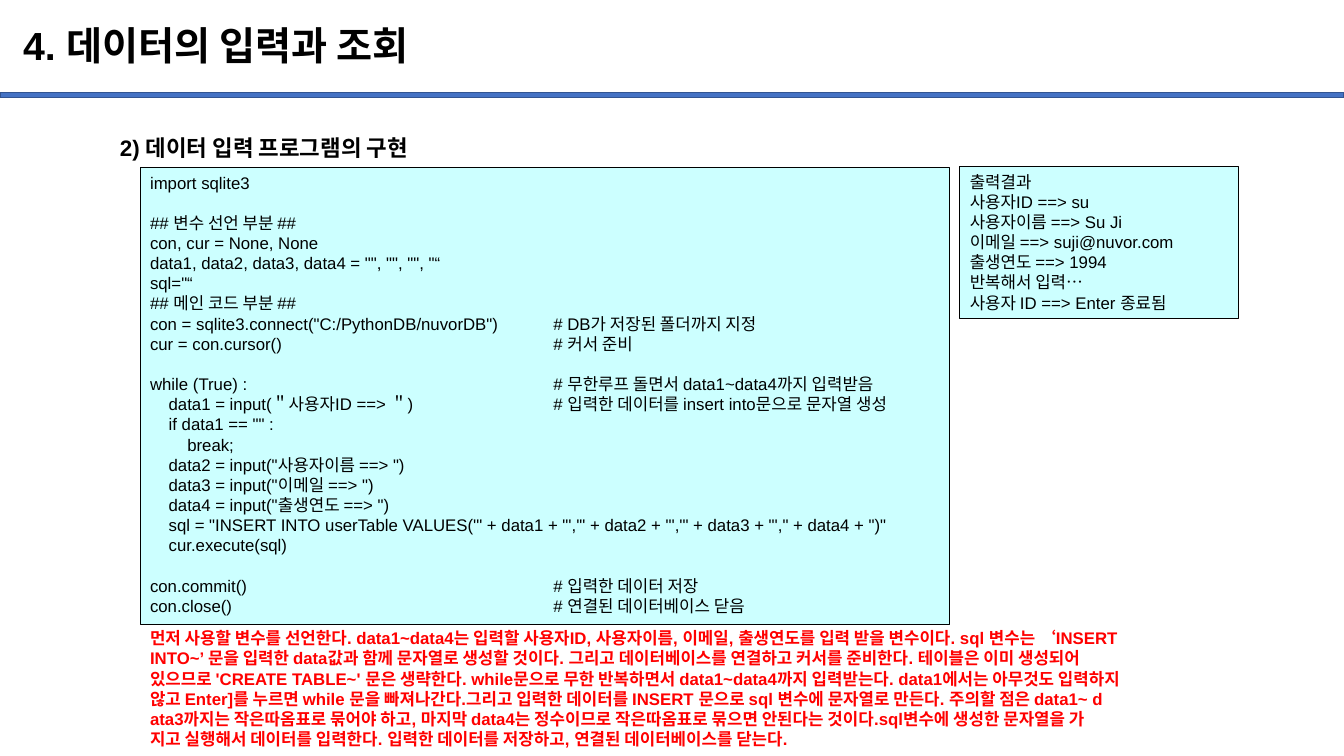
from pptx import Presentation
from pptx.dml.color import RGBColor
from pptx.enum.shapes import MSO_SHAPE
from pptx.enum.text import MSO_ANCHOR, MSO_AUTO_SIZE, PP_ALIGN
from pptx.util import Inches, Pt
from lxml import etree

RECTANGLE = MSO_SHAPE.RECTANGLE
TOP, MIDDLE = MSO_ANCHOR.TOP, MSO_ANCHOR.MIDDLE
LEFT = PP_ALIGN.LEFT
NO_AUTOFIT = MSO_AUTO_SIZE.NONE

BLACK = RGBColor(0x00, 0x00, 0x00)
RED = RGBColor(0xFF, 0x00, 0x00)
BLUE = RGBColor(0x44, 0x72, 0xC4)
DARK_BLUE = RGBColor(0x32, 0x54, 0x91)
PALE_CYAN = RGBColor(0xCC, 0xFF, 0xFF)

BODY_SIZE = 12
CODE_LINE_HEIGHT = 14.4
COMMENT_COLUMN = Inches(4)

CODE = """import sqlite3

## 변수 선언 부분 ##
con, cur = None, None
data1, data2, data3, data4 = "", "", "", "“
sql="“
## 메인 코드 부분 ##
con = sqlite3.connect("C:/PythonDB/nuvorDB")\t# DB가 저장된 폴더까지 지정
cur = con.cursor()\t# 커서 준비

while (True) :\t# 무한루프 돌면서 data1~data4까지 입력받음
    data1 = input(＂사용자ID ==> ＂)\t# 입력한 데이터를 insert into문으로 문자열 생성
    if data1 == "" :
        break;
    data2 = input("사용자이름 ==> ")
    data3 = input("이메일 ==> ")
    data4 = input("출생연도 ==> ")
    sql = "INSERT INTO userTable VALUES('" + data1 + "','" + data2 + "','" + data3 + "'," + data4 + ")"
    cur.execute(sql)

con.commit()\t# 입력한 데이터 저장
con.close()\t# 연결된 데이터베이스 닫음"""

OUTPUT = """출력결과
사용자ID ==> su
사용자이름 ==> Su Ji
이메일 ==> suji@nuvor.com
출생연도 ==> 1994
반복해서 입력…
사용자 ID ==> Enter 종료됨"""

EXPLANATION = """먼저 사용할 변수를 선언한다. data1~data4는 입력할 사용자ID, 사용자이름, 이메일, 출생연도를 입력 받을 변수이다. sql 변수는 ‘INSERT
INTO~’ 문을 입력한 data값과 함께 문자열로 생성할 것이다. 그리고 데이터베이스를 연결하고 커서를 준비한다. 테이블은 이미 생성되어
있으므로 'CREATE TABLE~' 문은 생략한다. while문으로 무한 반복하면서 data1~data4까지 입력받는다. data1에서는 아무것도 입력하지
않고 Enter]를 누르면 while 문을 빠져나간다.그리고 입력한 데이터를 INSERT 문으로 sql 변수에 문자열로 만든다. 주의할 점은 data1~ d
ata3까지는 작은따옴표로 묶어야 하고, 마지막 data4는 정수이므로 작은따옴표로 묶으면 안된다는 것이다.sql변수에 생성한 문자열을 가
지고 실행해서 데이터를 입력한다. 입력한 데이터를 저장하고, 연결된 데이터베이스를 닫는다."""


def write_text(shape, text, size, color=BLACK, bold=False, spacing=1.0, anchor=TOP):
    frame = shape.text_frame
    frame.word_wrap = True
    frame.auto_size = NO_AUTOFIT
    frame.vertical_anchor = anchor
    blocks = [block.split("\n") for block in text.split("\n\n")]
    frame.text = "\n".join(line for block in blocks for line in block)
    paragraphs = frame.paragraphs
    for paragraph in paragraphs:
        paragraph.alignment = LEFT
        paragraph.line_spacing = spacing
        for run in paragraph.runs:
            run.font.name = "Arial"
            run.font.size = Pt(size)
            run.font.bold = bold
            run.font.color.rgb = color
    block_start = 0
    for block in blocks[:-1]:
        block_start += len(block)
        paragraphs[block_start].space_before = Pt(CODE_LINE_HEIGHT)


def add_box(bounds, fill, line, line_width):
    box = slide.shapes.add_shape(RECTANGLE, *map(Inches, bounds))
    box.shadow.inherit = False
    box.fill.solid()
    box.fill.fore_color.rgb = fill
    box.line.color.rgb = line
    box.line.width = Pt(line_width)
    return box


presentation = Presentation()
presentation.slide_width = Inches(13.33)
presentation.slide_height = Inches(7.5)
slide = presentation.slides.add_slide(presentation.slide_layouts[5])

add_box((0, 0.92, 13.33, 0.05), BLUE, DARK_BLUE, 1)

title = slide.shapes.title
title.left, title.top, title.width, title.height = map(Inches, (0.13, 0.1, 11.5, 0.74))
write_text(title, "4. 데이터의 입력과 조회", 28, bold=True, spacing=0.9, anchor=MIDDLE)

heading = slide.shapes.add_textbox(*map(Inches, (1.09, 1.15, 11.72, 0.86)))
write_text(heading, "2) 데이터 입력 프로그램의 구현", 16, bold=True, spacing=1.5)

code_box = add_box((1.39, 1.66, 8.03, 4.54), PALE_CYAN, BLACK, 0.75)
write_text(code_box, CODE, BODY_SIZE)
for paragraph in code_box.text_frame.paragraphs:
    if "\t" in paragraph.text:
        properties = paragraph._p.get_or_add_pPr()
        namespace = "{%s}" % properties.nsmap["a"]
        tab_list = etree.SubElement(properties, namespace + "tabLst")
        etree.SubElement(tab_list, namespace + "tab", pos=str(COMMENT_COLUMN), algn="l")

output_box = add_box((9.52, 1.65, 2.76, 1.51), PALE_CYAN, BLACK, 0.75)
write_text(output_box, OUTPUT, BODY_SIZE)

explanation = slide.shapes.add_textbox(*map(Inches, (1.39, 6.18, 10.56, 1.31)))
write_text(explanation, EXPLANATION, BODY_SIZE, RED, bold=True)

presentation.save("out.pptx")
